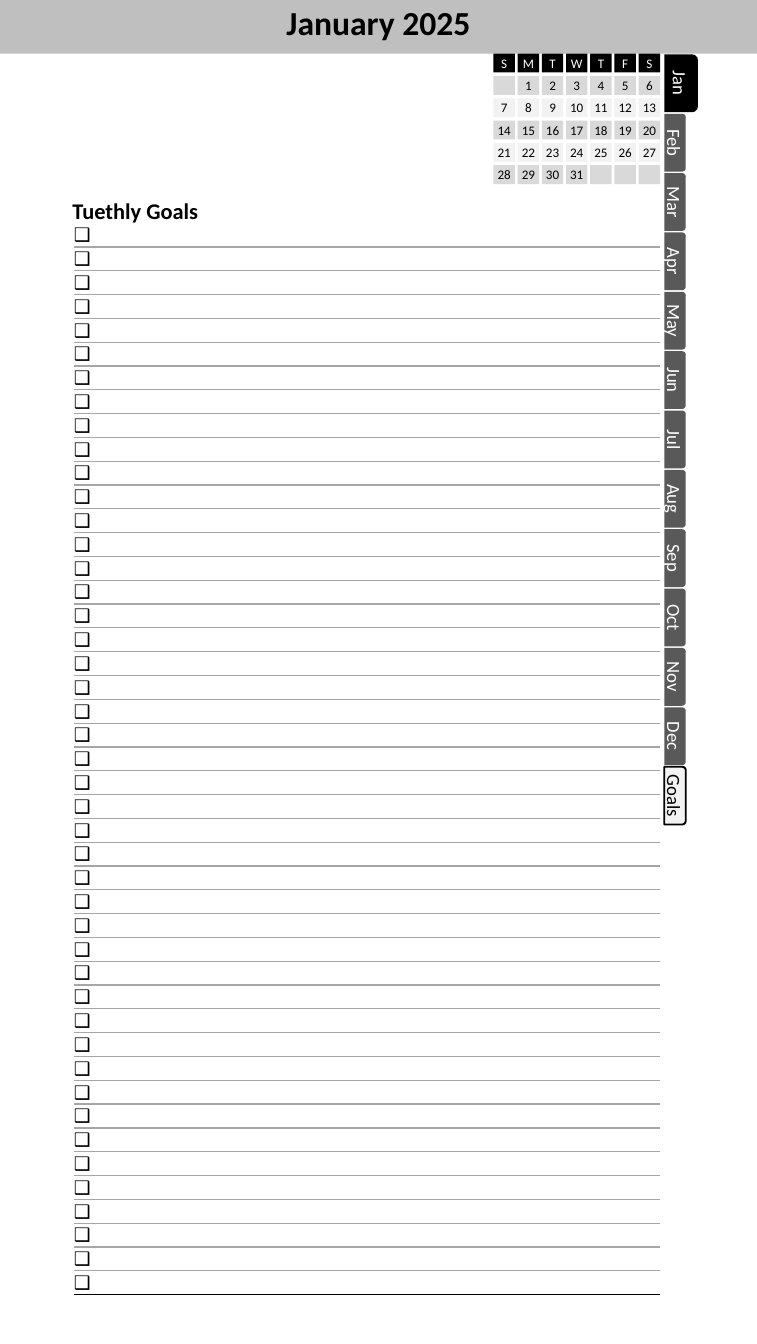
from lxml import etree
from pptx import Presentation
from pptx.dml.color import RGBColor
from pptx.enum.shapes import MSO_SHAPE
from pptx.enum.text import MSO_ANCHOR, PP_ALIGN
from pptx.oxml import parse_xml
from pptx.util import Inches, Pt

RECT, TAB = MSO_SHAPE.RECTANGLE, MSO_SHAPE.ROUND_2_SAME_RECTANGLE
MIDDLE, BOTTOM = MSO_ANCHOR.MIDDLE, MSO_ANCHOR.BOTTOM
CENTER, LEFT = PP_ALIGN.CENTER, PP_ALIGN.LEFT
NS = "http://schemas.openxmlformats.org/drawingml/2006/main"
PLAIN = "{2D5ABB26-0587-4C30-8999-92F81FD0307C}"

TITLE, HEADING = "January 2025", "Tuethly Goals"
MONTHS = ["Jan", "Feb", "Mar", "Apr", "May", "Jun",
          "Jul", "Aug", "Sep", "Oct", "Nov", "Dec"]
DAYS = list("SMTWTFS")
FIRST, LAST, WEEKS = 1, 31, 5
GOALS = 45
BLACK, WHITE, DARK, RULE = "000000", "FFFFFF", "595959", "A6A6A6"
BAND, ODD, EVEN = "BFBFBF", "D9D9D9", "F2F2F2"

WIDE, HIGH = 5.63, 10
BAR = 0.04 * HIGH
LIST_X, LIST_Y, LIST_W, ROW = 0.55, 1.66, 4.36, 7.98 / GOALS
TAB_X, TAB_Y, TAB_W, TAB_STEP = 4.94, 0.62, 0.43, 5.3 / 12
CAL_X, CAL_DX, CAL_DY, DAY_W, DAY_H = 3.67, 0.18, 0.83 / WEEKS, 0.16, 0.14


def color(code):
    return RGBColor.from_string(code)


def write(frame, text, size, ink, bold=False, align=CENTER):
    para = frame.paragraphs[0]
    para.text, para.alignment = text, align
    font = para.font
    font.name, font.size, font.bold = "Calibri", Pt(size), bold
    font.color.rgb = color(ink)
    return para


def block(shapes, kind, x, y, w, h, fill, text="", size=7, ink=BLACK):
    shape = shapes.add_shape(kind, *map(Inches, (x, y, w, h)))
    shape.shadow.inherit = False
    shape.fill.solid()
    shape.fill.fore_color.rgb = color(fill)
    shape.line.fill.background()
    if text:
        frame = shape.text_frame
        frame.margin_left = frame.margin_right = 0
        frame.margin_top = frame.margin_bottom = 0
        frame.vertical_anchor = MIDDLE
        write(frame, text, size, ink)
    return shape


def label(shapes, x, y, w, h, text, size, wrap, align):
    box = shapes.add_textbox(*map(Inches, (x, y, w, h)))
    box.text_frame.word_wrap = wrap
    return write(box.text_frame, text, size, BLACK, True, align)


def edge(side, ink):
    return parse_xml(
        f'<a:{side} xmlns:a="{NS}" w="{Pt(0.75)}"><a:solidFill>'
        f'<a:srgbClr val="{ink}"/></a:solidFill></a:{side}>')


def goal(cell, row):
    cell.margin_left = cell.margin_right = 0
    cell.margin_top = cell.margin_bottom = 0
    cell.vertical_anchor = BOTTOM
    cell.fill.background()
    props = write(cell.text_frame, " ", 10, BLACK, align=LEFT)._p.get_or_add_pPr()
    props.set("marL", str(Inches(0.17)))
    props.set("indent", str(-Inches(0.17)))
    mark = etree.Element(f"{{{NS}}}buFont", typeface="Calibri")
    props.insert(0, mark)
    mark.addnext(etree.Element(f"{{{NS}}}buChar", char="❑"))
    lines = [edge("lnB", BLACK if row == GOALS - 1 else RULE)]
    if row:
        lines.insert(0, edge("lnT", RULE))
    for spot, line in enumerate(lines):
        cell._tc.get_or_add_tcPr().insert(spot, line)


def goals(shapes):
    table = shapes.add_table(GOALS, 1, *map(
        Inches, (LIST_X, LIST_Y, LIST_W, ROW * GOALS))).table
    table.first_row = table.horz_banding = False
    table._tbl.tblPr.find(f"{{{NS}}}tableStyleId").text = PLAIN
    for i, row in enumerate(table.rows):
        row.height = Inches(ROW)
        goal(table.cell(i, 0), i)


def tabs(shapes):
    for i, name in enumerate(MONTHS + ["Goals"]):
        deep = 0.16 if i else 0.25
        fill, ink = (DARK if i else BLACK), WHITE
        if name == "Goals":
            fill, ink = EVEN, BLACK
        x = TAB_X + deep / 2 - TAB_W / 2
        y = TAB_Y + i * TAB_STEP - deep / 2
        tab = block(shapes, TAB, x, y, TAB_W, deep, fill, name, 10, ink)
        tab.rotation = 90
        if name == "Goals":
            tab.line.color.rgb = color(BLACK)
            tab.line.width = Pt(1)


def month(shapes):
    group = shapes.add_group_shape().shapes
    dates = [i - FIRST + 1 for i in range(7 * WEEKS)]
    texts = DAYS + [str(d) if 1 <= d <= LAST else "" for d in dates]
    for i, text in enumerate(texts):
        row, col = divmod(i, 7)
        fill = (ODD if row % 2 else EVEN) if row else BLACK
        block(group, RECT, CAL_X + col * CAL_DX, BAR + row * CAL_DY,
              DAY_W, DAY_H, fill, text, ink=BLACK if row else WHITE)


def main():
    """Build the monthly goals page and save it."""
    deck = Presentation()
    deck.slide_width, deck.slide_height = Inches(WIDE), Inches(HIGH)
    shapes = deck.slides.add_slide(deck.slide_layouts[6]).shapes
    block(shapes, RECT, 0, 0, WIDE, BAR, BAND)
    goals(shapes)
    label(shapes, 0.44, 1.42, 1.15, 0.3, HEADING, 12, False, LEFT)
    label(shapes, 1.27, 0, 3.09, BAR, TITLE, 18, True, CENTER).line_spacing = 0.9
    tabs(shapes)
    month(shapes)
    deck.save("out.pptx")


if __name__ == "__main__":
    main()
